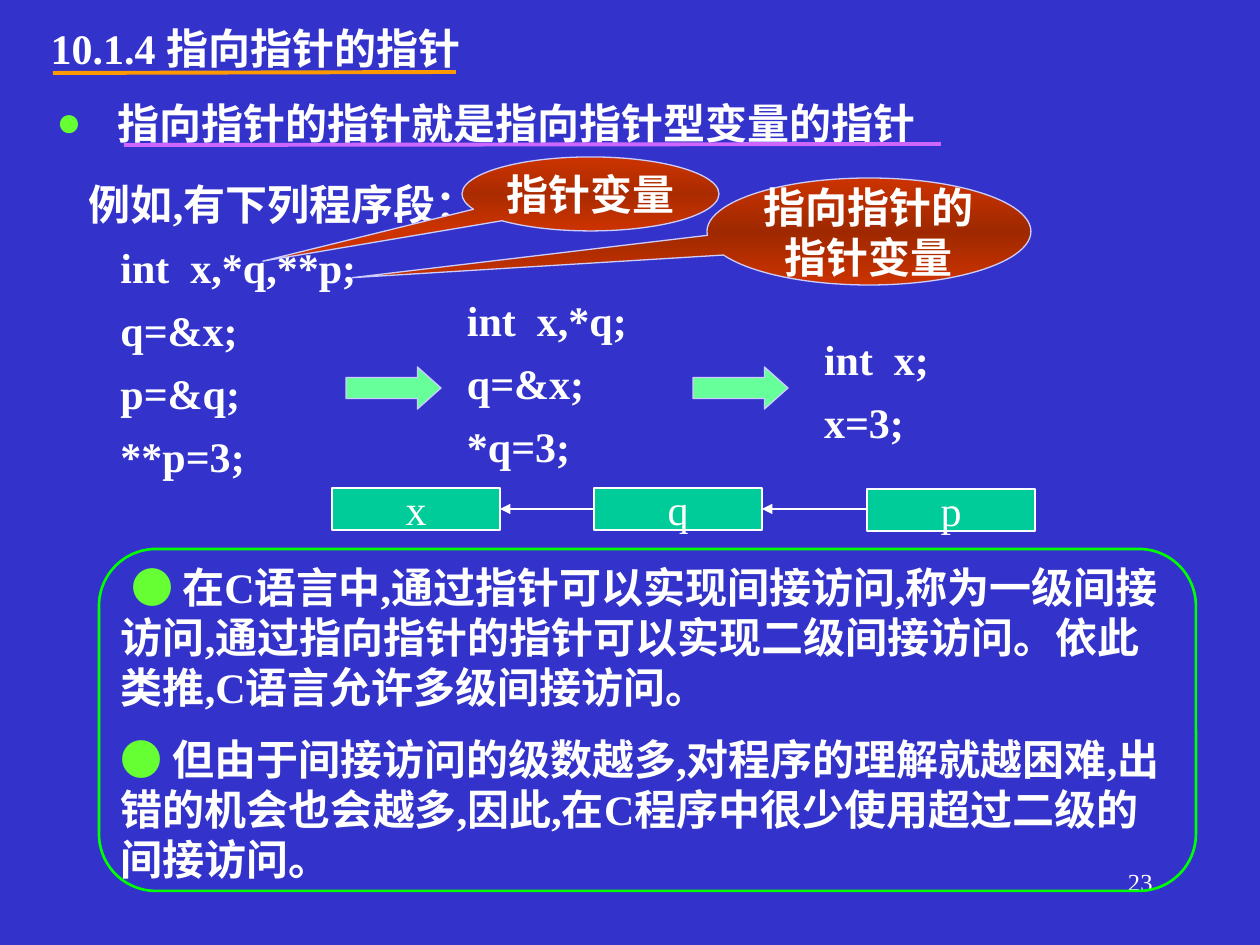
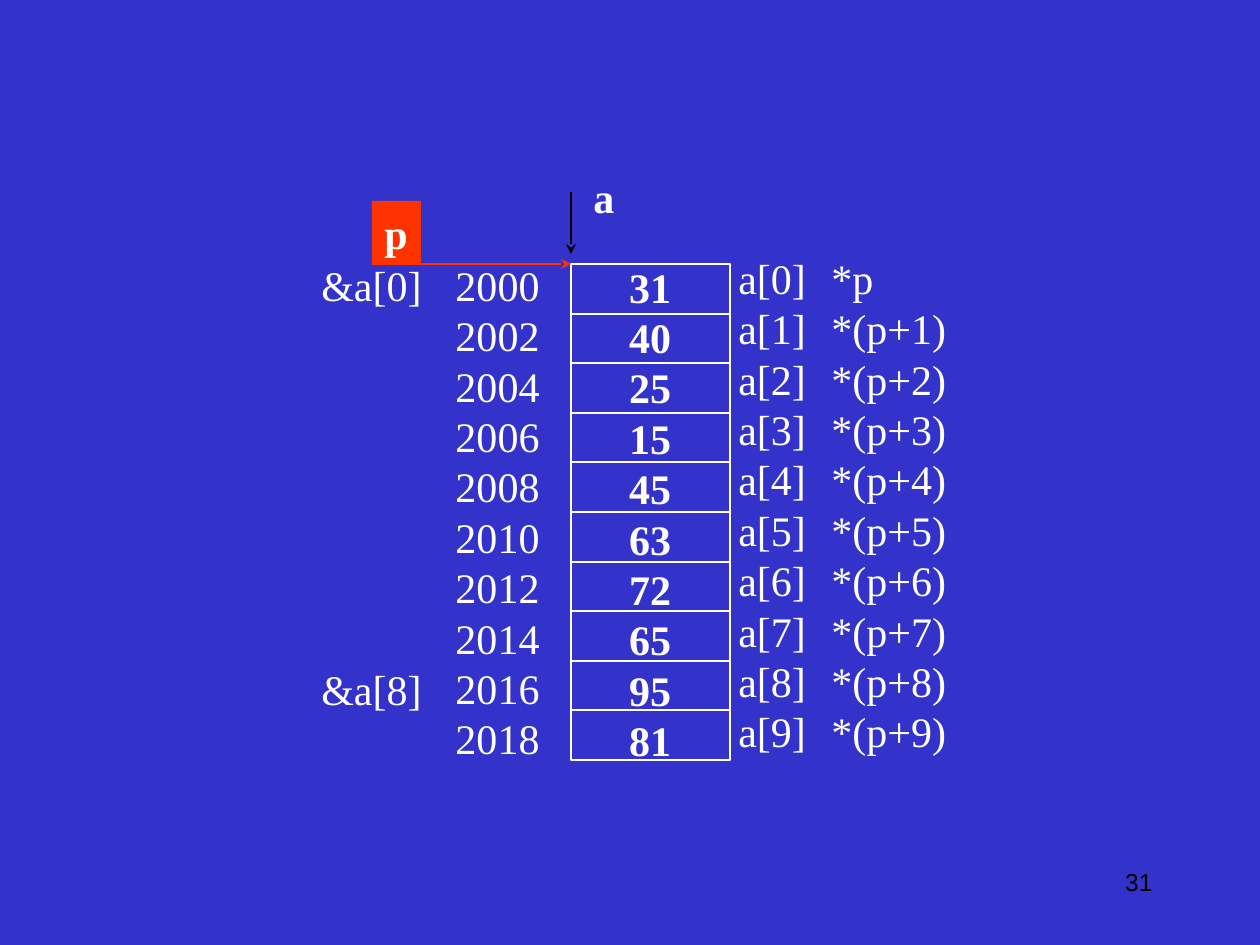
from copy import deepcopy
from lxml.etree import SubElement
from pptx import Presentation
from pptx.dml.color import RGBColor
from pptx.enum.shapes import MSO_CONNECTOR, MSO_SHAPE as SHAPE
from pptx.enum.text import MSO_ANCHOR as ANCHOR, MSO_AUTO_SIZE, PP_ALIGN as ALIGN
from pptx.oxml.ns import qn
from pptx.util import Emu, Pt

PX = 914400 / 126
FONT = "Times New Roman"
BLUE = RGBColor(0x33, 0x33, 0xCC)
WHITE = RGBColor(0xFF, 0xFF, 0xFF)
BLACK = RGBColor(0, 0, 0)
ORANGE = RGBColor(0xFF, 0x99, 0x00)
VIOLET = RGBColor(0xCC, 0x66, 0xFF)
LIME = RGBColor(0x66, 0xFF, 0x33)
GREEN = RGBColor(0x00, 0xFF, 0x00)
MINT = RGBColor(0x66, 0xFF, 0x99)
TEAL = RGBColor(0x00, 0xCC, 0x99)
LILAC = RGBColor(0xCC, 0xCC, 0xFF)
RED = RGBColor(0xFF, 0x33, 0x00)
RUST = RGBColor(0xCC, 0x33, 0x00)
BROWNS = RGBColor(0xAB, 0x2B, 0x00), RGBColor(0x9F, 0x28, 0x00)


def block(s, kind, box, fill=None, line=None, width=0.75):
    """Add a preset shape, or a text box when kind is None."""
    box = [Emu(round(v * PX)) for v in box]
    if kind is None:
        return s.shapes.add_textbox(*box)
    sp = s.shapes.add_shape(kind, *box)
    sp.shadow.inherit = False
    if fill is None:
        sp.fill.background()
    else:
        sp.fill.solid()
        sp.fill.fore_color.rgb = fill
    if line is None:
        sp.line.fill.background()
    else:
        sp.line.color.rgb = line
        sp.line.width = Pt(width)
    return sp


def write(sp, paras, bold=False, align=ALIGN.LEFT, gap=0, anchor=ANCHOR.TOP,
          wrap=True, tight=False, size=24, color=WHITE, font=FONT):
    """Fill a shape; a paragraph is a string or a list of (text, color, bold)."""
    tf = sp.text_frame
    tf.word_wrap, tf.vertical_anchor = wrap, anchor
    tf.auto_size = MSO_AUTO_SIZE.NONE
    if tight:
        tf.margin_left = tf.margin_right = Emu(round(5 * PX))
        tf.margin_top = tf.margin_bottom = 0
    for i, para in enumerate(paras):
        p = tf.add_paragraph() if i else tf.paragraphs[0]
        p.alignment = align
        p.space_before = Pt(gap if i else 0)
        p.font.name, p.font.size = font, Pt(size)
        if isinstance(para, str):
            p.add_run().text = para
            p.font.bold, p.font.color.rgb = bold, color
            continue
        for text, run_color, run_bold in para:
            r = p.add_run()
            r.text = text
            r.font.bold, r.font.color.rgb = run_bold, run_color
    return tf


prs = Presentation()
prs.slide_width, prs.slide_height = Emu(round(1260 * PX)), Emu(round(945 * PX))
bg = prs.slide_master.background.fill
bg.solid()
bg.fore_color.rgb = BLUE
s1 = prs.slides.add_slide(prs.slide_layouts[5])
s2 = prs.slides.add_slide(prs.slide_layouts[6])

# Page numbers
for s, number, color, font in ((s1, "23", WHITE, FONT), (s2, "31", BLACK, "Arial")):
    write(block(s, None, (903, 861, 262, 63)), [number], align=ALIGN.RIGHT,
          size=14, color=color, font=font)

# Slide 1: title and definition
title = s1.shapes.title
title.left, title.top, title.width, title.height = (
    Emu(round(v * PX)) for v in (38, 16, 454, 63))
write(title, ["10.1.4 指向指针的指针"], bold=True)
tf = write(block(s1, None, (44, 91, 1022, 63)), [""], bold=True)
p = tf.paragraphs[0]
pPr = p._p.get_or_add_pPr()
pPr.set("marL", str(round(61 * PX)))
pPr.set("indent", str(round(-61 * PX)))
buClr = pPr.makeelement(qn("a:buClr"))
SubElement(buClr, qn("a:srgbClr")).set("val", str(LIME))
buFont = pPr.makeelement(qn("a:buFont"), typeface=FONT)
buChar = pPr.makeelement(qn("a:buChar"), char="●")
for bullet in (buClr, buFont, buChar):
    pPr.find(qn("a:defRPr")).addprevious(bullet)
p.runs[0].text = "指向指针的指针就是指向指针型变量的指针"

# Program fragments, each one step simpler than the last
programs = (
    ((84, 179, 400, 315), ["例如,有下列程序段：", "   int  x,*q,**p;", "   q=&x;",
                           "   p=&q;", "   **p=3;"]),
    ((462, 294, 199, 183), ["int  x,*q;", "q=&x;", "*q=3;"]),
    ((819, 333, 158, 117), ["int  x;", "x=3;"]),
)
for box, code in programs:
    write(block(s1, None, box), code, bold=True, gap=7.2, tight=True)
for x in (346, 693):
    arrow = block(s1, SHAPE.RIGHT_ARROW, (x, 367, 95, 42), MINT, LILAC)
    arrow.adjustments[1] = 0.56

# Callouts that point at the declarations
callouts = (
    ((462, 157, 257, 74), (-1.275, 0.908), BROWNS[0], "指针变量"),
    ((707, 178, 324, 107), (-1.596, 0.432), BROWNS[1], "指向指针的指针变量"),
)
for box, tip, middle, text in callouts:
    sp = block(s1, SHAPE.OVAL_CALLOUT, box, RUST, LILAC)
    sp.adjustments[0], sp.adjustments[1] = tip
    sp.fill.gradient()
    sp.fill.gradient_angle = 90
    first = sp._element.spPr.find(".//" + qn("a:gs"))
    first.addnext(deepcopy(first))
    for stop, place, color in zip(sp.fill.gradient_stops, (0, 0.5, 1), (RUST, middle, RUST)):
        stop.position, stop.color.rgb = place, color
    write(sp, [text], bold=True, align=ALIGN.CENTER, anchor=ANCHOR.MIDDLE, tight=True)

# Variables in the pointer chain
for x, y, name in ((332, 488, "x"), (594, 488, "q"), (867, 489, "p")):
    write(block(s1, SHAPE.RECTANGLE, (x, y, 168, 42), TEAL, WHITE), [name],
          align=ALIGN.CENTER, anchor=ANCHOR.MIDDLE, wrap=False)

# Remarks in a rounded frame
remarks = (
    "在C语言中,通过指针可以实现间接访问,称为一级间接访问,通过指向指针的指针"
    "可以实现二级间接访问。依此类推,C语言允许多级间接访问。",
    "但由于间接访问的级数越多,对程序的理解就越困难,出错的机会也会越多,因此,"
    "在C程序中很少使用超过二级的间接访问。",
)
tf = write(block(s1, None, (116, 561, 1050, 331)),
           [[("● ", LIME, False), (text, WHITE, True)] for text in remarks],
           gap=12, tight=True)
tf.paragraphs[0]._p.get_or_add_pPr().set("indent", str(round(10 * PX)))
block(s1, SHAPE.ROUNDED_RECTANGLE, (99, 549, 1097, 342), line=GREEN, width=1.5)

# Slide 2: array cells with their addresses and access expressions
block(s2, SHAPE.RECTANGLE, (571, 264, 159, 496), line=WHITE)
values = ["31", "40", "25", "15", "45", "63", "72", "65", "95", "81"]
columns = (
    ((616, 255, 68, 522), values, True, ALIGN.CENTER),
    ((441, 253, 113, 522), [str(2000 + 2 * i) for i in range(10)], False, ALIGN.CENTER),
    ((726, 246, 103, 522), [f"a[{i}]" for i in range(10)], False, ALIGN.LEFT),
    ((819, 246, 152, 522), ["*p"] + [f"*(p+{i})" for i in range(1, 10)], False, ALIGN.LEFT),
    ((581, 165, 46, 63), ["a"], True, ALIGN.CENTER),
    ((302, 253, 139, 63), ["&a[0]"], False, ALIGN.CENTER),
    ((302, 657, 139, 63), ["&a[8]"], False, ALIGN.CENTER),
)
for box, lines, bold, align in columns:
    write(block(s2, None, box), lines, bold=bold, align=align)
write(block(s2, SHAPE.RECTANGLE, (372, 201, 49, 63), RED), ["p"], bold=True, wrap=False)

# Underlines, arrows and cell dividers
links = [
    (s1, (53, 73, 456, 72), ORANGE, 2.25, None),
    (s1, (124, 145, 941, 144), VIOLET, 2.25, None),
    (s1, (594, 509, 500, 509), WHITE, 1, "triangle"),
    (s1, (867, 509, 762, 509), WHITE, 1, "triangle"),
    (s2, (571, 192, 571, 254), BLACK, 0.75, "stealth"),
    (s2, (372, 264, 571, 264), RED, 0.75, "stealth"),
]
for i in range(1, 10):
    y = 264 + round(i * 496 / 10)
    links.append((s2, (571, y, 730, y), WHITE, 0.75, None))
for s, ends, color, width, head in links:
    c = s.shapes.add_connector(MSO_CONNECTOR.STRAIGHT, *(Emu(round(v * PX)) for v in ends))
    c.line.color.rgb, c.line.width = color, Pt(width)
    if head:
        SubElement(c.line._get_or_add_ln(), qn("a:tailEnd")).set("type", head)
    SubElement(c._element.spPr, qn("a:effectLst"))

prs.save("out.pptx")
